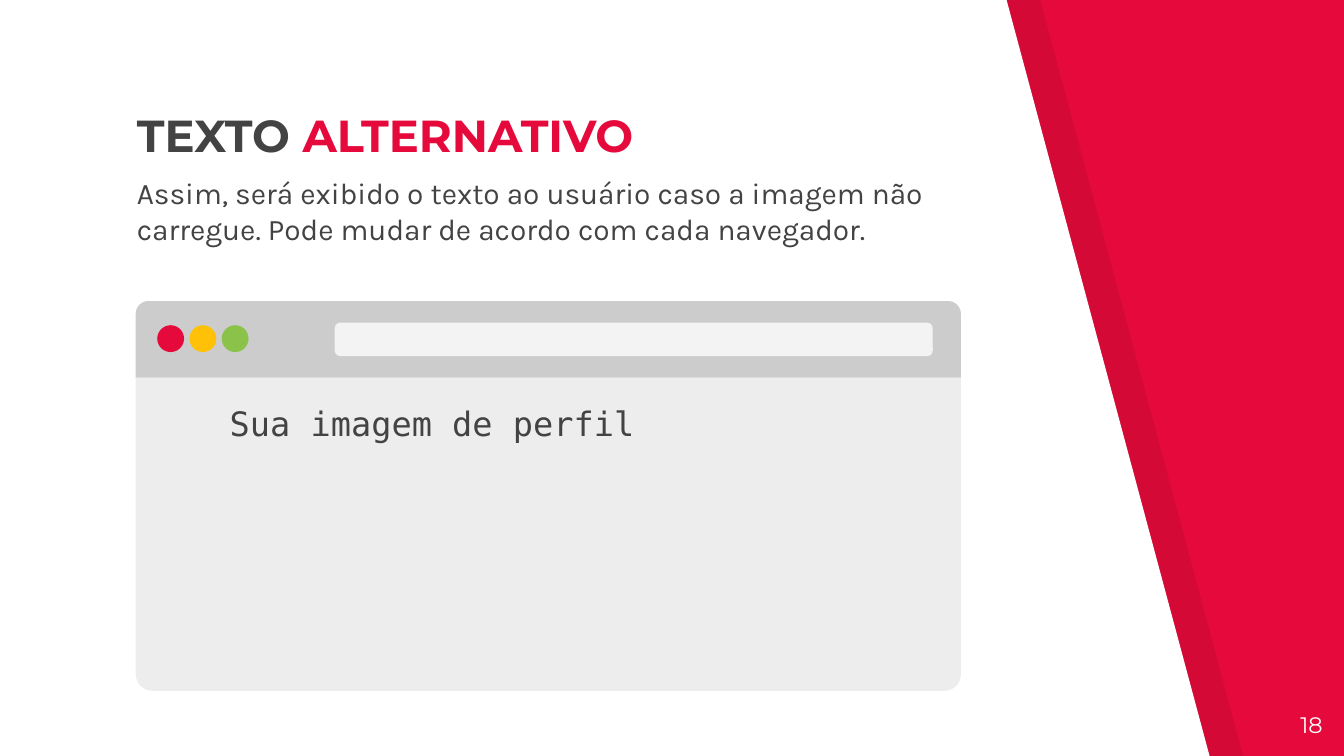
from lxml.etree import SubElement
from pptx import Presentation
from pptx.dml.color import RGBColor as RGB
from pptx.enum.shapes import MSO_SHAPE as Shape
from pptx.enum.text import MSO_ANCHOR as Anchor, PP_ALIGN as Align
from pptx.oxml.ns import qn
from pptx.util import Inches, Pt

COLORS = {
    "red": "E50A3B",
    "yellow": "FFC107",
    "green": "8BC34A",
    "shade": "000000",
    "white": "FFFFFF",
    "bar": "CCCCCC",
    "address": "F3F3F3",
    "text": "434343",
}
WIDTH = 10
HEIGHT = WIDTH * 9 / 16


class SlideBuilder:
    def __init__(self, slide):
        self.slide = slide

    def background(self, color):
        fill = self.slide.background.fill
        fill.solid()
        fill.fore_color.rgb = RGB.from_string(COLORS[color])

    def paint(self, shape, color, alpha=None):
        shape.shadow.inherit = False
        shape.line.fill.background()
        shape.fill.solid()
        shape.fill.fore_color.rgb = RGB.from_string(COLORS[color])
        if alpha:
            rgb = shape.fill._xPr.find(qn("a:solidFill"))[0]
            SubElement(rgb, qn("a:alpha")).set("val", str(alpha * 1000))

    def polygon(self, points, color, alpha=None):
        corners = [(Inches(x), Inches(y)) for x, y in points]
        outline = self.slide.shapes.build_freeform(*corners[0], scale=1.0)
        outline.add_line_segments(corners[1:], close=True)
        self.paint(outline.convert_to_shape(), color, alpha)

    def shape(self, kind, box, color, adjustments=(), rotation=0, alpha=None):
        shape = self.slide.shapes.add_shape(kind, *map(Inches, box))
        for index, value in enumerate(adjustments):
            shape.adjustments[index] = value
        shape.rotation = rotation
        self.paint(shape, color, alpha)

    def text(self, box, runs, font, size, bold=False, align=Align.LEFT,
             anchor=Anchor.TOP, inset=0.1, indent=0):
        frame = self.slide.shapes.add_textbox(*map(Inches, box)).text_frame
        frame.word_wrap = True
        frame.vertical_anchor = anchor
        frame.margin_left = frame.margin_right = Inches(inset)
        frame.margin_top = frame.margin_bottom = Inches(inset)
        paragraph = frame.paragraphs[0]
        paragraph.alignment = align
        if indent:
            properties = paragraph._p.get_or_add_pPr()
            properties.set("marL", "0")
            properties.set("indent", str(Inches(indent)))
        for wording, color in runs:
            run = paragraph.add_run()
            run.text = wording
            run.font.name = font
            run.font.size = Pt(size)
            run.font.bold = bold
            run.font.color.rgb = RGB.from_string(COLORS[color])


def main():
    deck = Presentation()
    deck.slide_width, deck.slide_height = Inches(WIDTH), Inches(HEIGHT)
    builder = SlideBuilder(deck.slides.add_slide(deck.slide_layouts[6]))
    builder.background("red")

    for left, color, alpha in ((0.25, "shade", 7), (0, "white", None)):
        panel = [(left, 0), (left, HEIGHT), (left + 9, HEIGHT), (left + 7.49, 0)]
        builder.polygon(panel, color, alpha)

    builder.text((0.92, 0.85, 5.67, 0.45),
                 [("TEXTO ", "text"), ("ALTERNATIVO", "red")],
                 "Montserrat", 24, bold=True, anchor=Anchor.BOTTOM)
    builder.text((0.92, 1.2, 6.41, 1.12),
                 [("Assim, será exibido o texto ao usuário caso a imagem não "
                   "carregue. Pode mudar de acordo com cada navegador.", "text")],
                 "Karla", 16)

    left, top, width, bar_height = 1.01, 2.24, 6.14, 0.57
    page_height = 2.33
    builder.shape(Shape.ROUND_2_SAME_RECTANGLE,
                  (left, top + bar_height, width, page_height), "shade",
                  (0.053, 0), rotation=180, alpha=7)
    builder.text((left, 2.85, width, page_height),
                 [("Sua imagem de perfil", "text")],
                 "DejaVu Sans Mono", 18, inset=0.2, indent=0.5)
    builder.shape(Shape.ROUND_2_SAME_RECTANGLE, (left, top, width, bar_height),
                  "bar", (0.167, 0))
    for index, color in enumerate(("red", "yellow", "green")):
        builder.shape(Shape.OVAL, (1.17 + 0.24 * index, 2.42, 0.2, 0.2), color)
    builder.shape(Shape.ROUNDED_RECTANGLE, (2.49, 2.4, 4.45, 0.25),
                  "address", (0.167,))

    builder.text((9.34, 5.19, 0.6, 0.43), [("18", "white")],
                 "Montserrat", 12, align=Align.RIGHT)
    deck.save("out.pptx")


if __name__ == "__main__":
    main()
